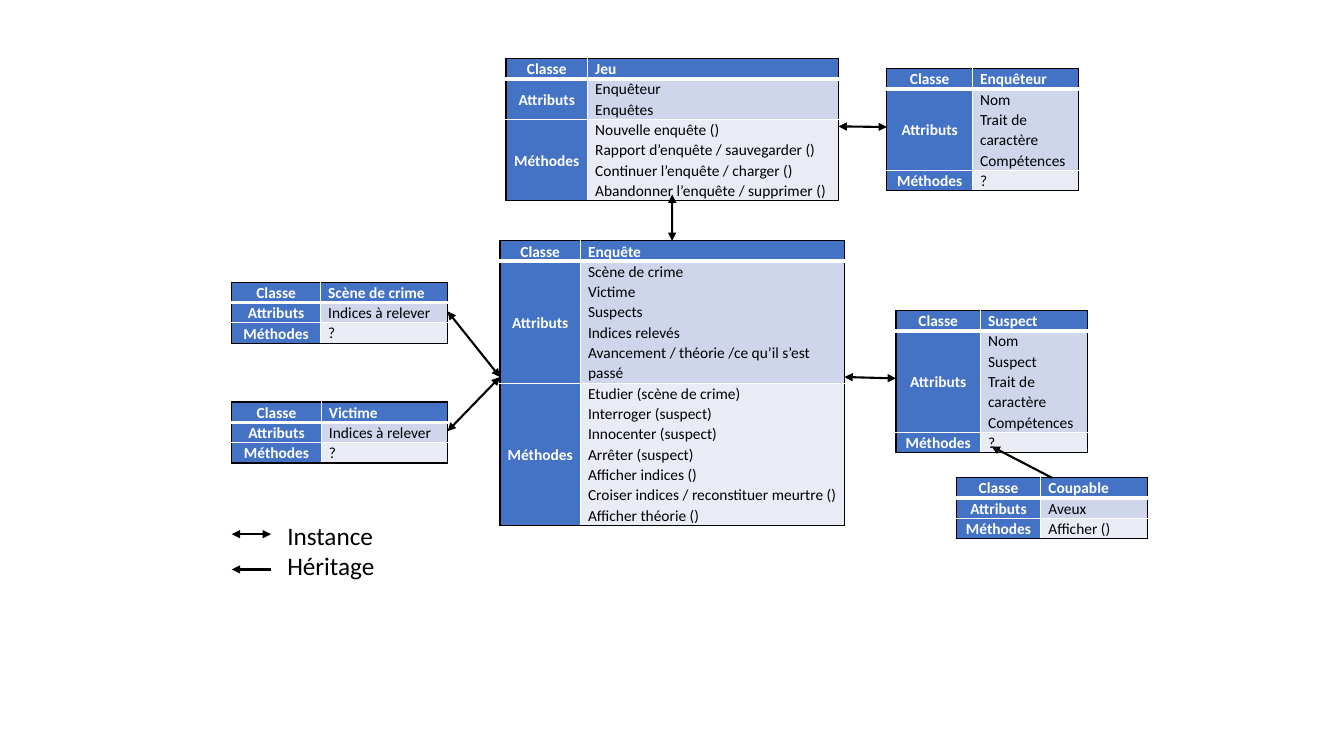
import pptx
import pptx.dml.color
import pptx.enum.dml
import pptx.enum.shapes
import pptx.enum.text
import pptx.oxml
import pptx.oxml.ns
import pptx.util

Cm, Pt = pptx.util.Cm, pptx.util.Pt
RGBColor = pptx.dml.color.RGBColor
PP_ALIGN = pptx.enum.text.PP_ALIGN
MSO_ANCHOR = pptx.enum.text.MSO_ANCHOR

BLACK = RGBColor(0x00, 0x00, 0x00)
WHITE = RGBColor(0xFF, 0xFF, 0xFF)
BLUE = RGBColor(0x44, 0x72, 0xC4)
ROW_FILLS = [BLUE, RGBColor(0xCF, 0xD5, 0xEA), RGBColor(0xE9, 0xEB, 0xF5)]

ROW_LABELS = ["Classe", "Attributs", "Méthodes"]
LINE_HEIGHT = 0.49
CELL_MARGINS = {"margin_left": Cm(0.19), "margin_right": Cm(0.19),
                "margin_top": 0, "margin_bottom": 0}
LABEL_FONT = {"name": "Calibri", "size": Pt(11), "bold": True}
MEMBER_FONT = LABEL_FONT | {"bold": False}
LEGEND_FONT = {"name": "Calibri", "size": Pt(18)}

# name, left, top, column widths, attributes, methods, wrapped attribute lines
CLASSES = [
    ("Jeu", 12.75, 1.47, (2.06, 6.32), ["Enquêteur", "Enquêtes"],
     ["Nouvelle enquête ()", "Rapport d’enquête / sauvegarder ()",
      "Continuer l’enquête / charger ()",
      "Abandonner l’enquête / supprimer ()"], 0),
    ("Enquêteur", 22.35, 1.73, (2.16, 2.67),
     ["Nom", "Trait de caractère", "Compétences"], ["?"], 1),
    ("Enquête", 12.6, 6.07, (2.03, 6.65),
     ["Scène de crime", "Victime", "Suspects", "Indices relevés",
      "Avancement / théorie /ce qu’il s’est passé"],
     ["Etudier (scène de crime)", "Interroger (suspect)",
      "Innocenter (suspect)", "Arrêter (suspect)", "Afficher indices ()",
      "Croiser indices / reconstituer meurtre ()", "Afficher théorie ()"], 1),
    ("Scène de crime", 5.84, 7.11, (2.24, 3.2),
     ["Indices à relever"], ["?"], 0),
    ("Victime", 5.84, 10.13, (2.26, 3.18), ["Indices à relever"], ["?"], 0),
    ("Suspect", 22.58, 7.82, (2.13, 2.69),
     ["Nom", "Suspect", "Trait de caractère", "Compétences"], ["?"], 1),
    ("Coupable", 24.1, 12.04, (2.13, 2.69), ["Aveux"], ["Afficher ()"], 0),
]

# class and side at each end
INSTANCES = [
    ("Jeu", "right", "Enquêteur", "left"),
    ("Jeu", "bottom", "Enquête", "top"),
    ("Scène de crime", "right", "Enquête", "left"),
    ("Enquête", "left", "Victime", "right"),
    ("Enquête", "right", "Suspect", "left"),
]
SIDES = {"left": (0, 0.5), "right": (1, 0.5), "top": (0.5, 0), "bottom": (0.5, 1)}


def apply(target, values):
    for name, value in values.items():
        setattr(target, name, value)


def write_lines(frame, lines, font, color, paragraph_format):
    for index, line in enumerate(lines):
        paragraph = frame.paragraphs[0] if index == 0 else frame.add_paragraph()
        apply(paragraph, paragraph_format)
        run = paragraph.add_run()
        run.text = line
        apply(run.font, font)
        run.font.color.rgb = color


def set_borders(cell, borders):
    properties = cell._tc.get_or_add_tcPr()
    for index, (side, (color, width)) in enumerate(borders.items()):
        properties.insert(index, pptx.oxml.parse_xml(
            f'<a:ln{side} {pptx.oxml.ns.nsdecls("a")} w="{Pt(width)}">'
            f'<a:solidFill><a:srgbClr val="{color}"/></a:solidFill></a:ln{side}>'))


def add_class(slide, name, left, top, widths, attributes, methods, wrapped):
    frame = slide.shapes.add_table(3, 2, Cm(left), Cm(top), Cm(sum(widths)), Cm(1))
    table = frame.table
    table.first_col = True
    for column, width in zip(table.columns, widths):
        column.width = Cm(width)
    contents = [[name], attributes, methods]
    for row, lines in enumerate(contents):
        count = len(lines) + (wrapped if row == 1 else 0)
        table.rows[row].height = Cm(LINE_HEIGHT * count)
        for column in range(2):
            is_label = column == 0
            is_blue = is_label or row == 0
            cell = table.cell(row, column)
            apply(cell, CELL_MARGINS)
            cell.vertical_anchor = MSO_ANCHOR.MIDDLE if is_label else MSO_ANCHOR.TOP
            cell.fill.solid()
            cell.fill.fore_color.rgb = BLUE if is_label else ROW_FILLS[row]
            write_lines(cell.text_frame, [ROW_LABELS[row]] if is_label else lines,
                        LABEL_FONT if is_blue else MEMBER_FONT,
                        WHITE if is_blue else BLACK,
                        {"line_spacing": 1.07,
                         "alignment": PP_ALIGN.CENTER if is_label else PP_ALIGN.LEFT})
            set_borders(cell, {
                "L": (BLACK if is_label else WHITE, 1),
                "R": (WHITE if is_label else BLACK, 1),
                "T": (BLACK if row == 0 else WHITE, 1),
                "B": [(WHITE, 3), (WHITE, 1), (BLACK, 1)][row]})
    return frame


def side_point(box, side):
    across, down = SIDES[side]
    return int(box.left + across * box.width), int(box.top + down * box.height)


def add_arrow(slide, start, end, both_ends):
    arrow = slide.shapes.add_connector(
        pptx.enum.shapes.MSO_CONNECTOR.STRAIGHT, *start, *end)
    arrow.line.color.rgb = BLACK
    arrow.line.width = Pt(1.5)
    line = arrow.line._get_or_add_ln()
    for end_name in ["headEnd", "tailEnd"] if both_ends else ["tailEnd"]:
        line.append(pptx.oxml.parse_xml(
            f'<a:{end_name} {pptx.oxml.ns.nsdecls("a")} type="triangle"/>'))
    arrow._element.spPr.append(pptx.oxml.parse_xml(
        f'<a:effectLst {pptx.oxml.ns.nsdecls("a")}/>'))


def add_legend(slide):
    left, right = Cm(5.84), Cm(6.83)
    instance_y, heritage_y = Cm(13.46), Cm(14.35)
    add_arrow(slide, (left, instance_y), (right, instance_y), True)
    add_arrow(slide, (right, heritage_y), (left, heritage_y), False)
    legend = slide.shapes.add_textbox(Cm(6.99), Cm(12.98), Cm(3.81), Cm(1.8))
    legend.text_frame.word_wrap = True
    legend.text_frame.auto_size = pptx.enum.text.MSO_AUTO_SIZE.SHAPE_TO_FIT_TEXT
    write_lines(legend.text_frame, ["Instance", "Héritage"], LEGEND_FONT, BLACK, {})


def main():
    deck = pptx.Presentation()
    apply(deck, {"slide_width": Cm(33.87), "slide_height": Cm(19.05)})
    slide = deck.slides.add_slide(deck.slide_layouts[6])

    # Classes
    boxes = {entry[0]: add_class(slide, *entry) for entry in CLASSES}

    # Relations
    add_arrow(slide, side_point(boxes["Coupable"], "top"),
              side_point(boxes["Suspect"], "bottom"), False)
    for source, source_side, target, target_side in INSTANCES:
        add_arrow(slide, side_point(boxes[source], source_side),
                  side_point(boxes[target], target_side), True)

    # Legend
    add_legend(slide)
    deck.save("out.pptx")


main()
